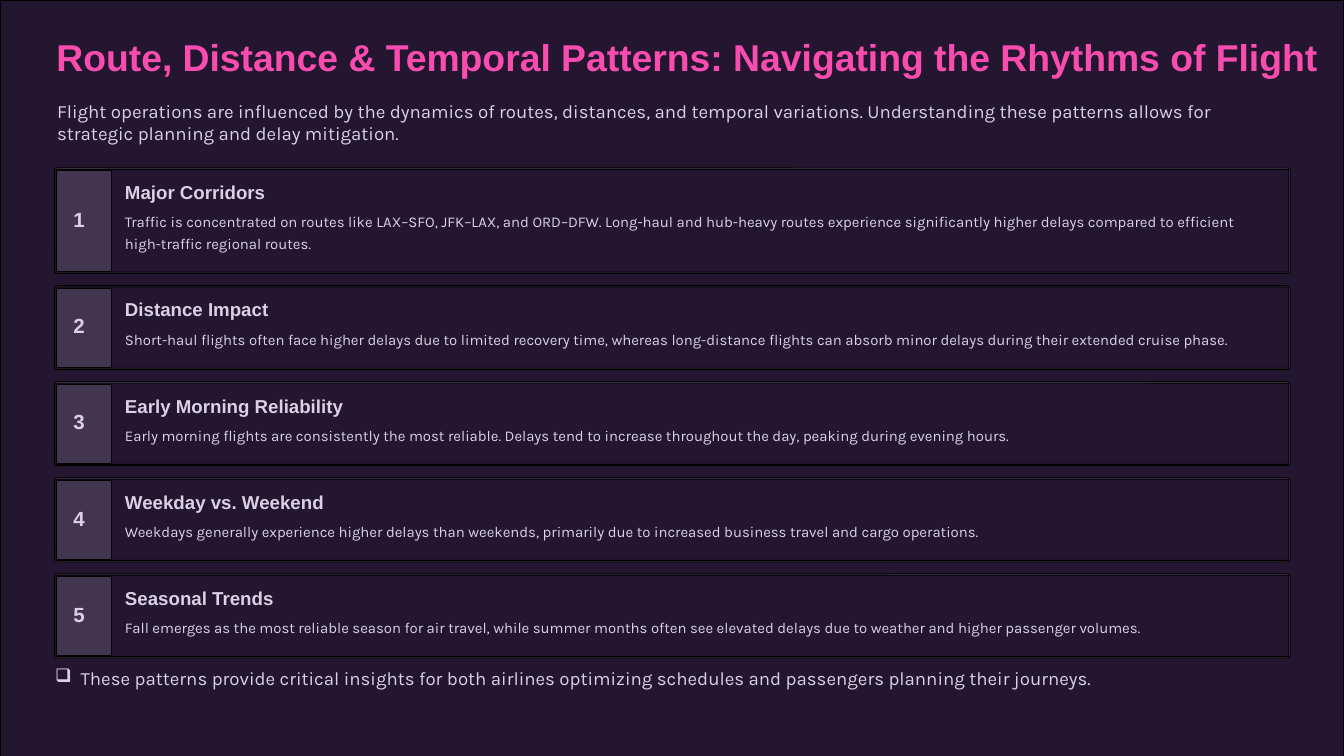
from dataclasses import dataclass

import lxml.etree
import pptx
import pptx.dml.color
import pptx.enum.shapes
import pptx.enum.text
import pptx.oxml.ns
import pptx.util

Inches = pptx.util.Inches
Pt = pptx.util.Pt
Shape = pptx.enum.shapes.MSO_SHAPE

COLORS = {
    "background": "241631",
    "frame": "5C4E69",
    "badge": "433550",
    "outline": "000000",
    "title": "F94CAF",
    "text": "DAD1E6",
}

LEFT, CARD_WIDTH = 0.81, 18.39
FIRST_TOP, CARD_GAP = 2.5, 0.18
CARD_HEIGHT, LINE_HEIGHT = 1.25, 0.32
FRAME_WIDTH = 0.02


@dataclass
class TextStyle:
    name: str
    size: float
    bold: bool
    color: str
    spacing: float | None = None


@dataclass
class Card:
    heading: str
    body: str
    lines: int = 1

    @property
    def height(self) -> float:
        return CARD_HEIGHT + LINE_HEIGHT * (self.lines - 1)


TITLE = TextStyle("Arial", 40, True, "title", 45.6)
INTRO = TextStyle("Karla", 20, False, "text")
NUMBER = TextStyle("Arial", 21.9, True, "text", 21.9)
HEADING = TextStyle("Arial", 20, True, "text", 22.5)
BODY = TextStyle("Karla", 16, False, "text", 23.1)
CLOSING = TextStyle("Karla", 20, False, "text", 23.1)

CARDS = [
    Card(
        "Major Corridors",
        "Traffic is concentrated on routes like LAX–SFO, JFK–LAX, and ORD–DFW. "
        "Long-haul and hub-heavy routes experience significantly higher delays "
        "compared to efficient high-traffic regional routes.",
        lines=2,
    ),
    Card(
        "Distance Impact",
        "Short-haul flights often face higher delays due to limited recovery time, "
        "whereas long-distance flights can absorb minor delays during their "
        "extended cruise phase.",
    ),
    Card(
        "Early Morning Reliability",
        "Early morning flights are consistently the most reliable. Delays tend to "
        "increase throughout the day, peaking during evening hours.",
    ),
    Card(
        "Weekday vs. Weekend",
        "Weekdays generally experience higher delays than weekends, primarily due "
        "to increased business travel and cargo operations.",
    ),
    Card(
        "Seasonal Trends",
        "Fall emerges as the most reliable season for air travel, while summer "
        "months often see elevated delays due to weather and higher passenger "
        "volumes.",
    ),
]


def rgb(color: str) -> pptx.dml.color.RGBColor:
    return pptx.dml.color.RGBColor.from_string(COLORS[color])


def add_panel(page, left: float, top: float, width: float, height: float,
              color: str, radius: float = 0) -> None:
    """Draw an outlined rectangle, rounded when a corner radius is given."""
    kind = Shape.ROUNDED_RECTANGLE if radius else Shape.RECTANGLE
    panel = page.shapes.add_shape(
        kind, Inches(left), Inches(top), Inches(width), Inches(height))
    if radius:
        panel.adjustments[0] = radius / min(width, height)
    panel.shadow.inherit = False
    panel.fill.solid()
    panel.fill.fore_color.rgb = rgb(color)
    panel.line.color.rgb = rgb("outline")
    panel.line.width = Pt(1)


def add_text(page, text: str, left: float, top: float, width: float,
             height: float, style: TextStyle):
    """Add a one-paragraph text box without margins and return the paragraph."""
    box = page.shapes.add_textbox(
        Inches(left), Inches(top), Inches(width), Inches(height))
    frame_format = {
        "margin_left": 0,
        "margin_top": 0,
        "margin_right": 0,
        "margin_bottom": 0,
        "word_wrap": True,
        "auto_size": pptx.enum.text.MSO_AUTO_SIZE.SHAPE_TO_FIT_TEXT,
    }
    for attribute, value in frame_format.items():
        setattr(box.text_frame, attribute, value)
    para = box.text_frame.paragraphs[0]
    if style.spacing:
        para.line_spacing = Pt(style.spacing)
    span = para.add_run()
    span.text = text
    font_format = {"name": style.name, "size": Pt(style.size), "bold": style.bold}
    for attribute, value in font_format.items():
        setattr(span.font, attribute, value)
    span.font.color.rgb = rgb(style.color)
    return para


def add_bullet(para, character: str, indent: float) -> None:
    properties = para._p.get_or_add_pPr()
    properties.set("marL", str(Inches(indent)))
    properties.set("indent", str(-Inches(indent)))
    bullet = lxml.etree.SubElement(properties, pptx.oxml.ns.qn("a:buChar"))
    bullet.set("char", character)


def add_card(page, number: int, card: Card, top: float) -> None:
    height = card.height
    add_panel(page, LEFT, top, CARD_WIDTH, height, "frame", radius=0.04)
    add_panel(page, LEFT + FRAME_WIDTH, top + FRAME_WIDTH,
              CARD_WIDTH - 2 * FRAME_WIDTH, height - 2 * FRAME_WIDTH,
              "background", radius=0.02)
    add_panel(page, 0.84, top + 0.04, 0.82, height - 0.07, "badge")
    add_text(page, str(number), 1.09, top + height / 2 - 0.15, 0.31, 0.35, NUMBER)
    add_text(page, card.heading, 1.86, top + 0.21, 5.31, 0.31, HEADING)
    add_text(page, card.body, 1.86, top + 0.61, 17.1,
             LINE_HEIGHT * card.lines, BODY)


def main() -> None:
    deck = pptx.Presentation()
    deck.slide_width, deck.slide_height = Inches(20), Inches(11.25)
    page = deck.slides.add_slide(deck.slide_layouts[6])

    add_panel(page, 0, 0, 20, 11.25, "background")
    add_text(page,
             "Route, Distance & Temporal Patterns: Navigating the Rhythms of Flight",
             0.84, 0.54, 19.1, 0.65, TITLE)
    add_text(page,
             "Flight operations are influenced by the dynamics of routes, distances, "
             "and temporal variations. Understanding these patterns allows for "
             "strategic planning and delay mitigation.",
             0.85, 1.48, 18.37, 0.67, INTRO)

    top = FIRST_TOP
    for number, card in enumerate(CARDS, start=1):
        add_card(page, number, card, top)
        top += card.height + CARD_GAP

    closing = add_text(page,
                       "These patterns provide critical insights for both airlines "
                       "optimizing schedules and passengers planning their journeys.",
                       0.82, 9.94, 18.37, 0.32, CLOSING)
    add_bullet(closing, "❑", 0.38)

    deck.save("out.pptx")


if __name__ == "__main__":
    main()
